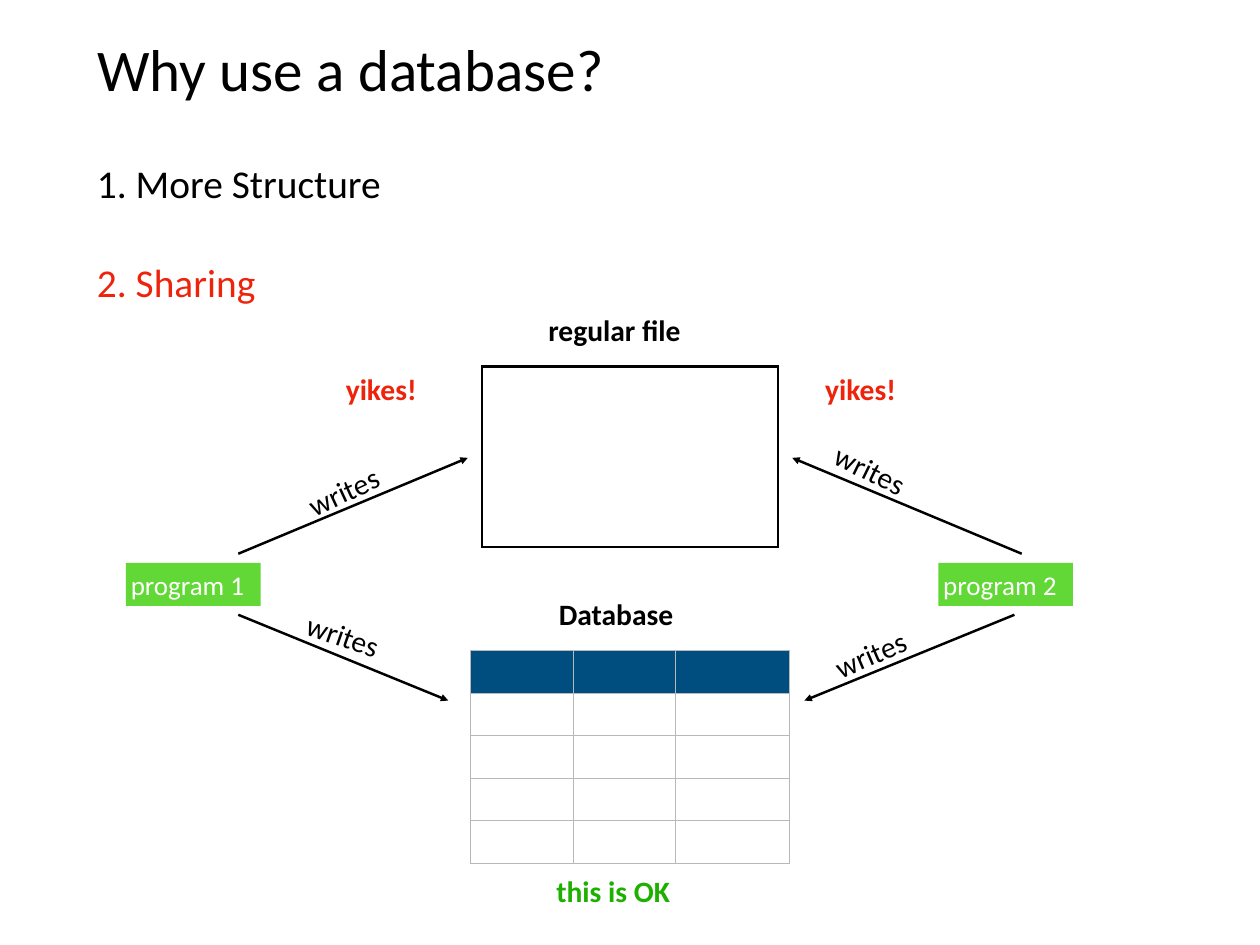
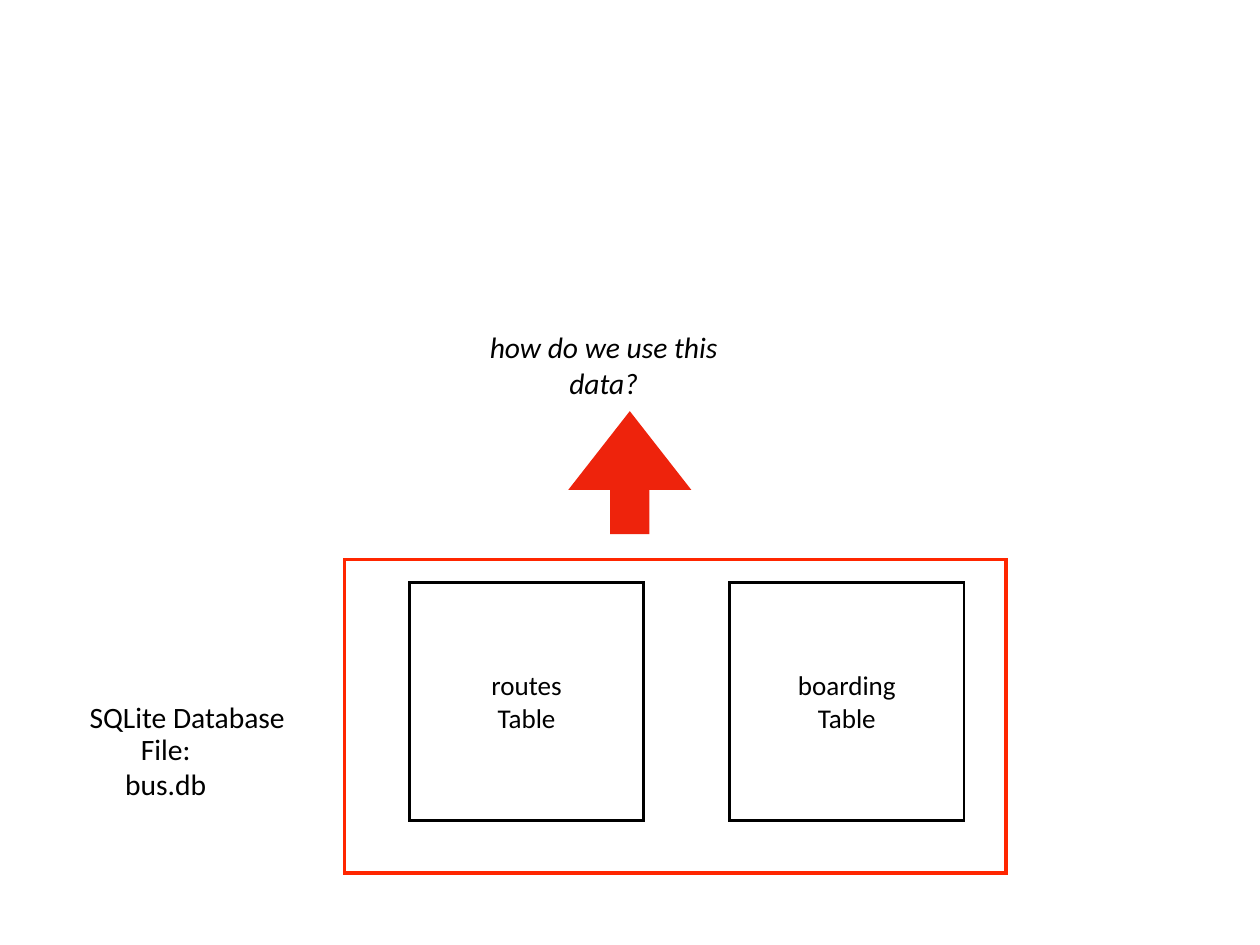
"""Build two slides on why to use a database and what its file holds."""
from lxml.etree import SubElement
from pptx import Presentation
from pptx.dml.color import RGBColor
from pptx.enum.shapes import MSO_CONNECTOR, MSO_SHAPE
from pptx.enum.text import MSO_ANCHOR, MSO_AUTO_SIZE, PP_ALIGN
from pptx.oxml.ns import qn
from pptx.util import Cm, Pt

HUES = {
    "black": "000000", "white": "FFFFFF", "red": "EE230C", "frame": "FF2600",
    "lime": "61D836", "green": "1EB001", "navy": "004D80", "grey": "B8B8B8",
}
FONT = "Calibri"
INSET = 0.14
LINE = 1.27


def hue(name):
    return RGBColor.from_string(HUES[name])


def write(shape, text, size=24, color="black", bold=False, italic=False,
          align=PP_ALIGN.CENTER, anchor=MSO_ANCHOR.MIDDLE, wrap=False, gap=0):
    frame = shape.text_frame
    frame.word_wrap = wrap
    frame.auto_size = MSO_AUTO_SIZE.NONE if wrap else MSO_AUTO_SIZE.SHAPE_TO_FIT_TEXT
    frame.vertical_anchor = anchor
    frame.margin_left = frame.margin_right = Cm(INSET)
    frame.margin_top = frame.margin_bottom = Cm(INSET)
    frame.text = text
    for para in frame.paragraphs:
        para.alignment = align
        para.space_before = Pt(gap)
        font = para.runs[0].font
        font.name, font.size = FONT, Pt(size)
        font.bold, font.italic = bold, italic
        font.color.rgb = hue(color)
    return frame


def label(slide, text, left, top, width, height=LINE, turn=0, **style):
    box = slide.shapes.add_textbox(Cm(left), Cm(top), Cm(width), Cm(height))
    box.rotation = turn
    return write(box, text, **style)


def block(slide, left, top, width, height, fill=None, line=None, weight=2,
          kind=MSO_SHAPE.RECTANGLE):
    shape = slide.shapes.add_shape(kind, Cm(left), Cm(top), Cm(width), Cm(height))
    shape.shadow.inherit = False
    if fill:
        shape.fill.solid()
        shape.fill.fore_color.rgb = hue(fill)
    else:
        shape.fill.background()
    if line:
        shape.line.color.rgb = hue(line)
        shape.line.width = Pt(weight)
        stroke = shape.element.spPr.find(qn("a:ln"))
        SubElement(stroke, qn("a:miter"), lim="400000")
    else:
        shape.line.fill.background()
    return shape


def arrow(slide, *ends):
    link = slide.shapes.add_connector(MSO_CONNECTOR.STRAIGHT, *map(Cm, ends))
    link.line.color.rgb = hue("black")
    link.line.width = Pt(2)
    props = link.element.spPr
    SubElement(props.find(qn("a:ln")), qn("a:tailEnd"), type="triangle")
    SubElement(props, qn("a:effectLst"))


def edge(cell, color):
    props = cell._tc.get_or_add_tcPr()
    for side in ("lnL", "lnR", "lnT", "lnB"):
        line = SubElement(props, qn(f"a:{side}"), w=str(Pt(1)))
        fill = SubElement(line, qn("a:solidFill"))
        SubElement(fill, qn("a:srgbClr"), val=HUES[color])


def grid(slide, left, top, widths, height, count):
    table = slide.shapes.add_table(count, len(widths), Cm(left), Cm(top),
                                   Cm(sum(widths)), Cm(height * count)).table
    for col, width in zip(table.columns, widths):
        col.width = Cm(width)
    for index, row in enumerate(table.rows):
        row.height = Cm(height)
        for cell in row.cells:
            edge(cell, "grey")
            cell.fill.solid()
            cell.fill.fore_color.rgb = hue("white" if index else "navy")


def reasons(slide):
    label(slide, "Why use a database?", 2.65, 0.69, 30.84, 2.51,
          size=48, align=PP_ALIGN.LEFT, wrap=True)
    body = label(slide, "1. More Structure\n2. Sharing", 2.64, 4.42, 30.84, 6.12,
                 size=32, align=PP_ALIGN.LEFT, anchor=MSO_ANCHOR.TOP,
                 wrap=True, gap=42)
    body.paragraphs[1].runs[0].font.color.rgb = hue("red")

    label(slide, "Database", 15.5, 16.97, 4.32, bold=True)
    grid(slide, 13.49, 18.66, (2.95, 2.92, 3.27), 1.22, 5)
    label(slide, "regular file", 15.14, 8.81, 4.95, bold=True)
    block(slide, 13.82, 10.51, 8.48, 5.18, fill="white", line="black")
    for text, left in (("program 1", 3.61), ("program 2", 26.9)):
        write(block(slide, left, 16.14, 3.86, 1.24, fill="lime"), text,
              size=22, color="white", align=PP_ALIGN.LEFT, wrap=True)
    for ends in ((6.83, 15.88, 13.41, 13.13), (6.83, 17.63, 12.85, 20.09),
                 (29.29, 15.88, 22.71, 13.13), (29.08, 17.63, 23.06, 20.09)):
        arrow(slide, *ends)
    for left in (9.56, 23.3):
        label(slide, "yikes!", left, 10.52, 2.74, color="red", bold=True)
    label(slide, "this is OK", 15.33, 24.92, 4.5, color="green", bold=True)
    for left, top, turn in ((8.61, 13.44, -24.9), (8.61, 17.58, 19.2),
                            (23.72, 18.11, -23.1), (23.72, 12.83, 26)):
        label(slide, "writes", left, top, 2.46, turn=turn)


def tables(slide):
    up = block(slide, 16.29, 11.79, 3.53, 3.53, fill="red",
               kind=MSO_SHAPE.RIGHT_ARROW)
    up.rotation = 270
    up.adjustments[0], up.adjustments[1] = 0.32, 0.64
    block(slide, 9.88, 16.05, 18.97, 8.99, line="frame", weight=3)
    label(slide, "SQLite Database", 2.33, 19.91, 6.07)
    label(slide, "File: bus.db", 2.73, 21.33, 4.04)
    for name, left in (("routes", 11.74), ("boarding", 20.92)):
        write(block(slide, left, 16.7, 6.71, 6.83, line="black"),
              f"{name}\nTable", size=22, wrap=True)
    label(slide, "how do we use this data?", 13.14, 9.83, 8.33, italic=True)


def main():
    deck = Presentation()
    deck.slide_width, deck.slide_height = Cm(36.12), Cm(27.1)
    for draw in (reasons, tables):
        draw(deck.slides.add_slide(deck.slide_layouts[6]))
    deck.save("out.pptx")


if __name__ == "__main__":
    main()
